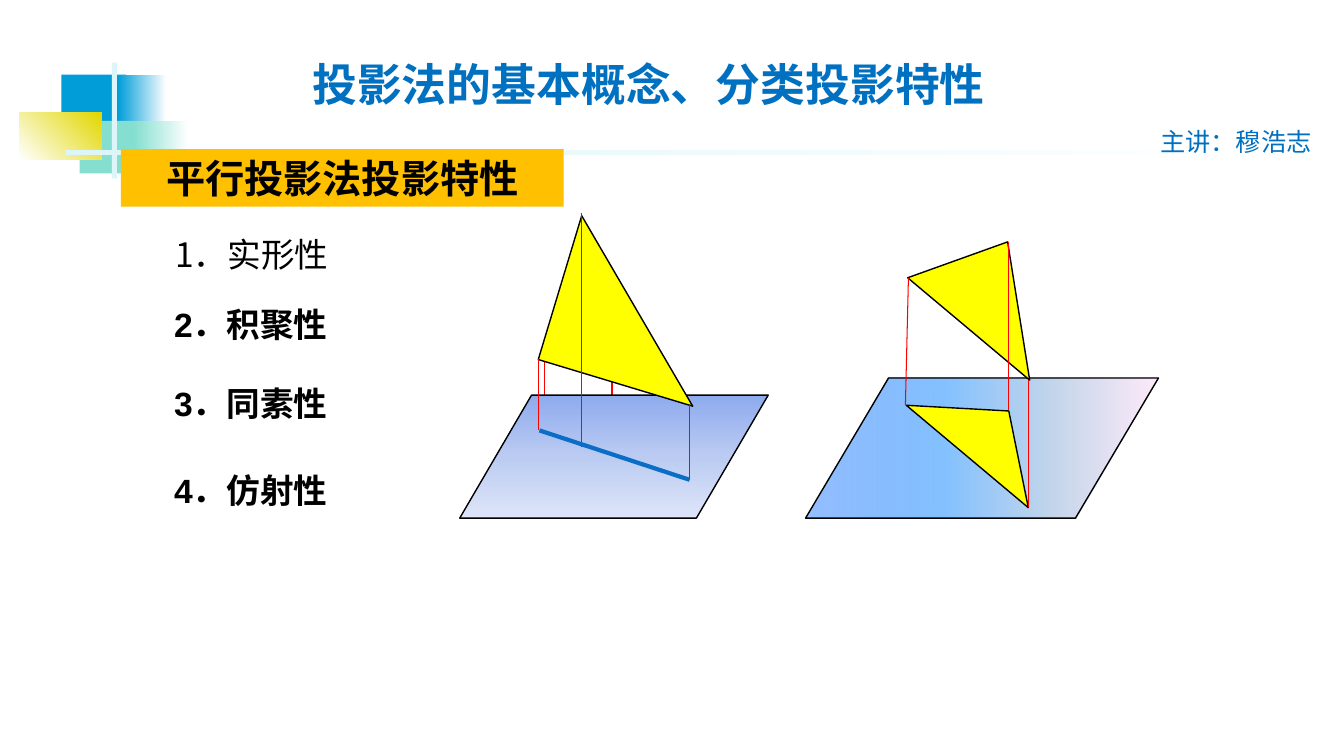
from pptx import Presentation
from pptx.dml.color import RGBColor
from pptx.enum.shapes import MSO_CONNECTOR, MSO_SHAPE
from pptx.enum.text import MSO_ANCHOR, MSO_AUTO_SIZE, PP_ALIGN
from pptx.oxml.ns import qn
from pptx.util import Inches, Pt
from lxml.etree import SubElement

COLORS = {
    "blue": "009DD9", "teal": "85DFD0", "olive": "E2D700", "pale": "DBF5F9",
    "white": "FFFFFF", "black": "000000", "title": "0070C0", "banner": "FFC000",
    "yellow": "FFFF00", "red": "FF0000", "trace": "0A6DC6",
    "plane_top": "8EABEE", "plane_mid": "BBCBF2", "plane_low": "DEE5F8",
    "sky": "5E9EFF", "sky_mid": "85C2FF", "mist": "C4D6EB", "pink": "FFEBFA",
}
CJK = "Noto Sans CJK SC"


class SlideBuilder:
    """Holds the style and the current slide, and adds each kind of element."""

    def __init__(self, slide, colors, ea_font):
        self.shapes = slide.shapes
        self.colors = colors
        self.ea_font = ea_font

    def rgb(self, name):
        return RGBColor.from_string(self.colors[name])

    def gradient(self, sp, stops, angle):
        sp.fill.gradient()
        grad = sp.element.spPr.find(qn("a:gradFill"))
        for child in list(grad):
            grad.remove(child)
        gs_list = SubElement(grad, qn("a:gsLst"))
        for pos, name, alpha in stops:
            gs = SubElement(gs_list, qn("a:gs"), pos=str(pos * 1000))
            clr = SubElement(gs, qn("a:srgbClr"), val=self.colors[name])
            if alpha < 100:
                SubElement(clr, qn("a:alpha"), val=str(alpha * 1000))
        SubElement(grad, qn("a:lin"), ang=str(angle * 60000), scaled="0")

    def shape(self, kind, box, fill, angle=0, line=None, rot=0, adj=None):
        sp = self.shapes.add_shape(kind, *map(Inches, box))
        sp.shadow.inherit = False
        sp.rotation = rot
        if adj is not None:
            sp.adjustments[0] = adj
        if isinstance(fill, str):
            sp.fill.solid()
            sp.fill.fore_color.rgb = self.rgb(fill)
        else:
            self.gradient(sp, fill, angle)
        if line:
            sp.line.color.rgb = self.rgb(line)
            sp.line.width = Pt(1)
        else:
            sp.line.fill.background()
        return sp

    def line(self, x1, y1, x2, y2, color="red", width=0.75):
        cn = self.shapes.add_connector(
            MSO_CONNECTOR.STRAIGHT, *map(Inches, (x1, y1, x2, y2)))
        cn.line.color.rgb = self.rgb(color)
        cn.line.width = Pt(width)
        SubElement(cn.element.spPr, qn("a:effectLst"))

    def label(self, sp, text, size, color, bold=True, font="Arial",
              align=PP_ALIGN.LEFT, anchor=MSO_ANCHOR.MIDDLE, indent=0):
        tf = sp.text_frame
        tf.word_wrap = True
        tf.auto_size = MSO_AUTO_SIZE.SHAPE_TO_FIT_TEXT
        tf.vertical_anchor = anchor
        p = tf.paragraphs[0]
        p.alignment = align
        if indent:
            p_pr = p._p.get_or_add_pPr()
            p_pr.set("marL", "0")
            p_pr.set("indent", str(Inches(indent)))
        r = p.add_run()
        r.text = text
        r.font.size = Pt(size)
        r.font.bold = bold
        r.font.name = font
        r.font.color.rgb = self.rgb(color)
        SubElement(r._r.get_or_add_rPr(), qn("a:ea"), typeface=self.ea_font)

    def text(self, box, text, size, color, **style):
        self.label(self.shapes.add_textbox(*map(Inches, box)), text, size, color, **style)


def add_decoration(s):
    def fade(start, end):
        return [(0, start, 100), (100, end, 100)]

    for box, fill, angle in [
        ((0.61, 0.74, 0.64, 0.52), "blue", 0),
        ((1.17, 0.74, 0.48, 0.52), fade("blue", "white"), 0),
        ((0.79, 1.2, 0.62, 0.52), "teal", 0),
        ((1.33, 1.2, 0.54, 0.52), fade("teal", "white"), 0),
        ((0.19, 1.12, 0.82, 0.46), fade("white", "olive"), 315),
        ((1.11, 0.62, 0.05, 1.15), "pale", 0),
        ((0.65, 1.49, 12, 0.05), fade("pale", "white"), 0),
    ]:
        s.shape(MSO_SHAPE.RECTANGLE, box, fill, angle)


def add_texts(s):
    s.text((11.41, 1.2, 1.82, 0.4), "主讲：穆浩志", 18, "title",
           bold=False, font=CJK, anchor=MSO_ANCHOR.TOP)
    s.text((3, 0.51, 7.06, 0.64), "投影法的基本概念、分类投影特性", 32, "title")
    banner = s.shape(MSO_SHAPE.RECTANGLE, (1.2, 1.48, 4.39, 0.57), "banner")
    s.label(banner, "平行投影法投影特性", 28, "black", align=PP_ALIGN.CENTER)
    s.text((1.35, 2.27, 2.81, 0.5), "1．实形性", 24, "black", bold=False,
           font=CJK, anchor=MSO_ANCHOR.TOP, indent=0.29)
    for top, name in [(2.97, "2．积聚性"), (3.75, "3．同素性"), (4.61, "4．仿射性")]:
        s.text((1.35, top, 3.06, 0.5), name, 24, "black", indent=0.28)


def add_perpendicular_figure(s):
    s.line(6.07, 3, 6.07, 4.06, width=1)
    s.line(5.4, 3.4, 5.4, 4.54, width=1)
    plane = [(0, "plane_top", 100), (50, "plane_mid", 100), (100, "plane_low", 100)]
    s.shape(MSO_SHAPE.PARALLELOGRAM, (4.56, 3.92, 3.06, 1.22), plane, 90, "black", adj=0.584)
    s.shape(MSO_SHAPE.RIGHT_TRIANGLE, (5.52, 2.34, 1.6, 1.49), "yellow",
            line="black", rot=16.8)
    for x, top, bottom in [(5.34, 3.56, 4.27), (5.77, 2.11, 4.43), (6.84, 4.01, 4.76)]:
        s.line(x, top, x, bottom)
    s.line(6.84, 4.76, 5.35, 4.27, "trace", 3)


def add_inclined_figure(s):
    plane = [(0, "sky", 65), (40, "sky_mid", 100), (70, "mist", 100), (100, "pink", 100)]
    s.shape(MSO_SHAPE.PARALLELOGRAM, (7.99, 3.75, 3.5, 1.39), plane, 0, "black", adj=0.592)
    for box, adj in [((9, 3.99, 1.58, 0.61), 0.516), ((9.11, 2.46, 1.58, 0.91), 0.336)]:
        s.shape(MSO_SHAPE.ISOSCELES_TRIANGLE, box, "yellow", line="black", rot=40, adj=adj)
    for ends in [(9.01, 2.76, 8.98, 4.02), (10, 2.4, 10, 4.07), (10.2, 3.77, 10.2, 5.03)]:
        s.line(*ends)


def main():
    prs = Presentation()
    prs.slide_width, prs.slide_height = Inches(13.33), Inches(7.5)
    s = SlideBuilder(prs.slides.add_slide(prs.slide_layouts[6]), COLORS, CJK)
    add_decoration(s)
    add_texts(s)
    add_perpendicular_figure(s)
    add_inclined_figure(s)
    prs.save("out.pptx")


if __name__ == "__main__":
    main()
